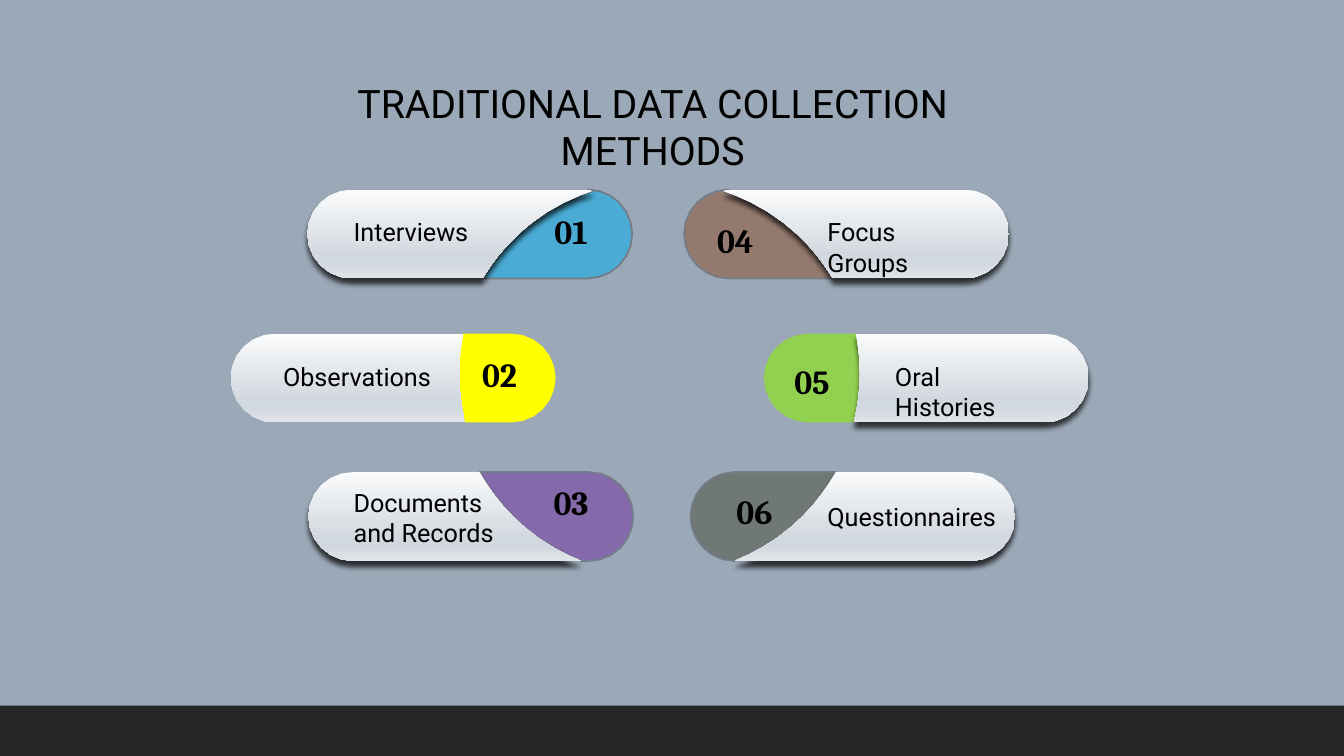
from dataclasses import dataclass
from math import cos, pi, sqrt

from lxml.etree import SubElement
from pptx import Presentation
from pptx.dml.color import RGBColor
from pptx.enum.shapes import MSO_SHAPE
from pptx.enum.text import MSO_ANCHOR, MSO_AUTO_SIZE, PP_ALIGN
from pptx.oxml.ns import qn
from pptx.util import Pt

BACKGROUND = RGBColor(0x9B, 0xA8, 0xB7)
FOOTER = RGBColor(0x26, 0x26, 0x26)
OUTLINE = RGBColor(0x73, 0x7C, 0x87)
BLACK = RGBColor(0x00, 0x00, 0x00)
BLUE = RGBColor(0x00, 0xB0, 0xF0)
YELLOW = RGBColor(0xFF, 0xFF, 0x00)
PURPLE = RGBColor(0x70, 0x30, 0xA0)
BROWN = RGBColor(0x8F, 0x50, 0x2C)
GREEN = RGBColor(0x92, 0xD0, 0x50)
OLIVE = RGBColor(0x4A, 0x4D, 0x3C)
SILVER_LIGHT = RGBColor(0xFA, 0xFB, 0xFB)
SILVER_DARK = RGBColor(0xD2, 0xD8, 0xDF)
SILVER_EDGE = RGBColor(0xE1, 0xE5, 0xE9)
SILVER_STOPS = ((0, SILVER_LIGHT), (74, SILVER_DARK),
                (83, SILVER_DARK), (100, SILVER_EDGE))

SLIDE_W, SLIDE_H, FOOTER_H = 960, 540, 36
PILL_W, PILL_H = 232, 63.5
HUB_RADIUS = 140  # circle that cuts every pill into body and accent
STEPS = 12


@dataclass(frozen=True)
class Box:
    left: float
    top: float
    width: float
    height: float


@dataclass(frozen=True)
class Pill:
    number: str
    label: str
    color: RGBColor
    outer: float  # x of the end far from the hub
    top: float
    side: int  # 1 left of the hub, -1 right of it
    hub_x: float
    hub_y: float
    number_at: tuple[float, float]
    label_box: Box
    glassy: bool = True  # translucent accent with an outline
    shadow: int = 72  # opacity in percent


PILLS = (
    Pill("01", "Interviews", BLUE, 219.6, 135.4, 1, 465.4, 270,
         (380.9, 146.9), Box(245.5, 151.2, 100, 29)),
    Pill("02", "Observations", YELLOW, 164.9, 238.3, 1, 468, 267,
         (329.8, 249.1), Box(195.1, 254.2, 124, 29), False, 0),
    Pill("03", "Documents and Records", PURPLE, 220.3, 337.2, 1, 465.4, 270,
         (380.9, 340.6), Box(245.5, 344.2, 123, 51)),
    Pill("04", "Focus Groups", BROWN, 720.6, 135.4, -1, 474.2, 270,
         (498.2, 153.4), Box(583.9, 151.2, 121, 29)),
    Pill("05", "Oral Histories", GREEN, 777.6, 238.3, -1, 474.2, 267,
         (553, 254.2), Box(632.2, 254.2, 122.4, 29), False, 69),
    Pill("06", "Questionnaires", OLIVE, 725.2, 337.2, -1, 474.2, 270,
         (511.9, 347), Box(583.9, 354.2, 143.3, 29)),
)


def pill_outlines(pill: Pill) -> tuple[list, list]:
    """Return the body and accent outlines, traced along rows of the pill."""
    radius = PILL_H / 2
    outer, cut, inner = [], [], []
    for i in range(STEPS + 1):
        rise = radius * cos(pi * i / STEPS)
        y = pill.top + radius - rise
        inset = radius - sqrt(max(radius ** 2 - rise ** 2, 0))
        hub_edge = sqrt(HUB_RADIUS ** 2 - (y - pill.hub_y) ** 2)
        to_cut = (pill.hub_x - pill.outer) * pill.side - hub_edge
        for edge, depth in ((outer, inset),
                            (cut, min(to_cut, PILL_W - inset)),
                            (inner, PILL_W - inset)):
            edge.append((Pt(pill.outer + pill.side * depth), Pt(y)))
    return outer + cut[::-1], cut + inner[::-1]


def add_outline(slide, points: list):
    builder = slide.shapes.build_freeform(*points[0], scale=1.0)
    builder.add_line_segments(points[1:], close=True)
    sp = builder.convert_to_shape()
    sp.shadow.inherit = False
    sp.line.fill.background()
    return sp


def add_color(parent, color: RGBColor, alpha: int = 100) -> None:
    clr = SubElement(parent, qn("a:srgbClr"), val=str(color))
    if alpha < 100:
        SubElement(clr, qn("a:alpha"), val=str(alpha * 1000))


def add_accent(slide, pill: Pill, points: list) -> None:
    sp = add_outline(slide, points)
    sp.fill.solid()
    sp.fill.fore_color.rgb = pill.color
    if pill.glassy:
        clr = sp._element.spPr.find(qn("a:solidFill")).find(qn("a:srgbClr"))
        SubElement(clr, qn("a:alpha"), val="52000")
        sp.line.color.rgb = OUTLINE
        sp.line.width = Pt(1.25)


def add_body(slide, pill: Pill, points: list) -> None:
    sp = add_outline(slide, points)
    sp.fill.gradient()
    sp.fill.gradient_angle = 270  # counter-clockwise: top to bottom
    spPr = sp._element.spPr
    stops = spPr.find(qn("a:gradFill")).find(qn("a:gsLst"))
    for stop in list(stops):
        stops.remove(stop)
    for position, color in SILVER_STOPS:
        add_color(SubElement(stops, qn("a:gs"), pos=str(position * 1000)), color)
    if pill.shadow:
        shadow = SubElement(spPr.find(qn("a:effectLst")), qn("a:outerShdw"),
                            blurRad=str(Pt(4)), dist=str(Pt(4)),
                            dir="5400000", algn="t", rotWithShape="0")
        add_color(shadow, BLACK, pill.shadow)


def set_text(sp, text: str, size: float, font: str = "Roboto",
             bold: bool = False, align: PP_ALIGN = PP_ALIGN.LEFT) -> None:
    tf = sp.text_frame
    tf.text = text
    tf.word_wrap = True
    tf.auto_size = MSO_AUTO_SIZE.SHAPE_TO_FIT_TEXT
    tf.vertical_anchor = MSO_ANCHOR.TOP
    p = tf.paragraphs[0]
    p.alignment = align
    p.font.name, p.font.size, p.font.bold = font, Pt(size), bold
    p.font.color.rgb = BLACK


def add_text(slide, box: Box, text: str, size: float, **style) -> None:
    sp = slide.shapes.add_textbox(Pt(box.left), Pt(box.top),
                                  Pt(box.width), Pt(box.height))
    set_text(sp, text, size, **style)


def main() -> None:
    prs = Presentation()
    prs.slide_width, prs.slide_height = Pt(SLIDE_W), Pt(SLIDE_H)
    s = prs.slides.add_slide(prs.slide_layouts[5])
    s.background.fill.solid()
    s.background.fill.fore_color.rgb = BACKGROUND

    # Footer band
    band = s.shapes.add_shape(MSO_SHAPE.RECTANGLE, 0, Pt(SLIDE_H - FOOTER_H),
                              Pt(SLIDE_W), Pt(FOOTER_H))
    band.shadow.inherit = False
    band.fill.solid()
    band.fill.fore_color.rgb = FOOTER
    band.line.fill.background()

    # Title
    title = s.shapes.title
    title.left, title.top = Pt(180), Pt(53.3)
    title.width, title.height = Pt(572.4), Pt(41)
    set_text(title, "TRADITIONAL DATA COLLECTION METHODS", 28,
             align=PP_ALIGN.CENTER)

    # Pills with their labels and numbers
    for pill in PILLS:
        body, accent = pill_outlines(pill)
        add_accent(s, pill, accent)
        add_body(s, pill, body)
        add_text(s, pill.label_box, pill.label, 18)
        add_text(s, Box(*pill.number_at, 54, 36), pill.number, 24,
                 font="Cambria", bold=True, align=PP_ALIGN.CENTER)

    prs.save("out.pptx")


if __name__ == "__main__":
    main()
